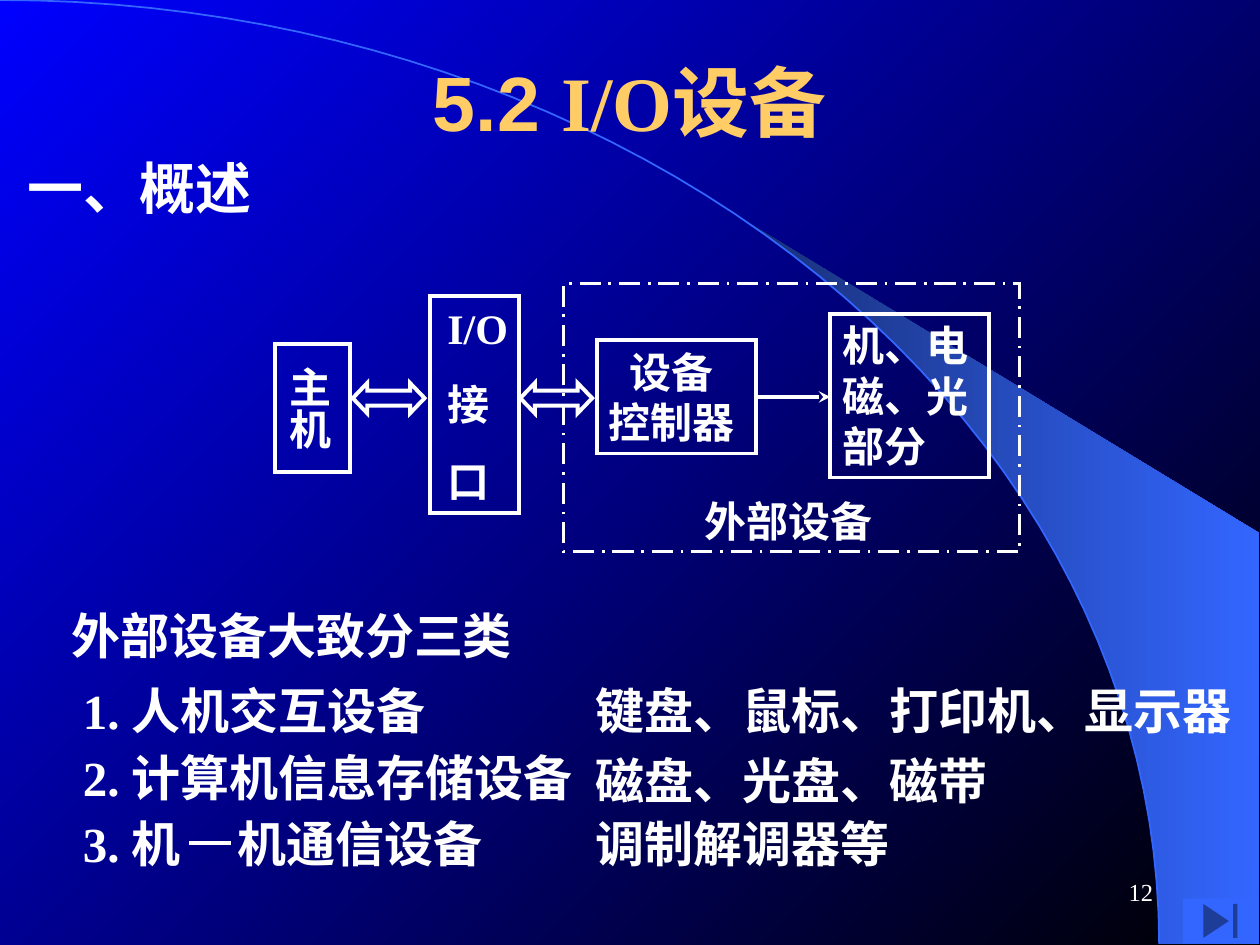
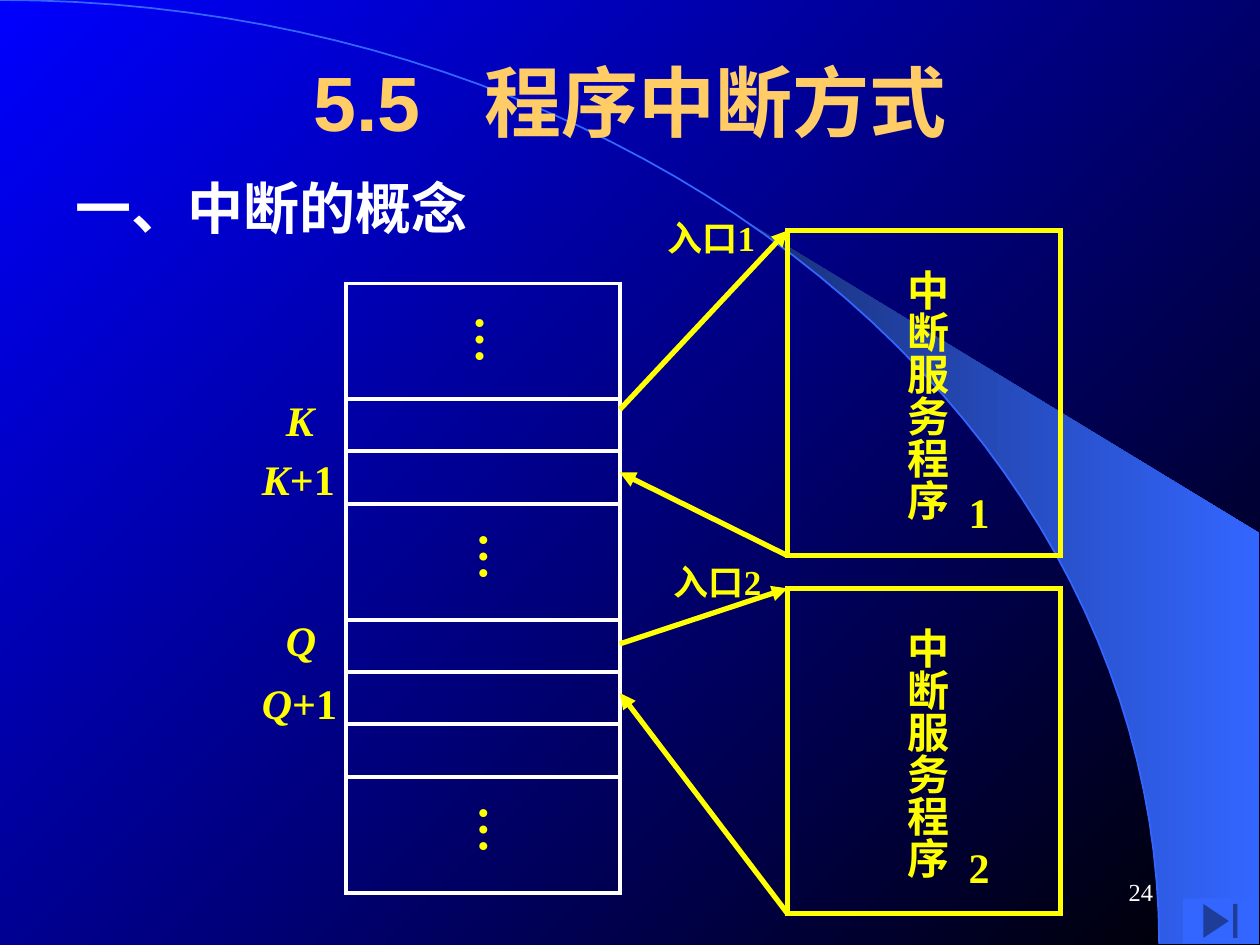
"""Build two lecture slides on I/O devices and program interrupts."""
import math
from dataclasses import dataclass
from itertools import accumulate
from typing import NamedTuple

from lxml import etree
from pptx import Presentation
from pptx.dml.color import RGBColor
from pptx.enum import dml, shapes, text
from pptx.oxml.ns import qn
from pptx import util as u

PX = u.Inches(1) // 100
SERIF, SANS = "Times New Roman", "Arial"
COLOURS = {
    "white": "FFFFFF",
    "gold": "FFCC66",
    "yellow": "FFFF00",
    "blue": "0000FF",
    "black": "000000",
    "navy": "182F76",
    "azure": "3366FF",
}
SHAPE = shapes.MSO_SHAPE
ALIGN = text.PP_ALIGN
PLAIN_INSETS = (10, 5, 10, 5)
VERTICAL_INSETS = (5, 10, 5, 10)


class Place(NamedTuple):
    """Left, top, width and height in px."""
    left: int
    top: int
    width: int
    height: int

    def emu(self) -> list[int]:
        """Return the four lengths in EMU."""
        return [length * PX for length in self]


class Run(NamedTuple):
    """A stretch of text that may differ from its paragraph."""
    words: str
    font: str | None = None
    italic: bool = False
    spacing: int = 0


@dataclass(frozen=True)
class Block:
    """A framed part of the computer diagram."""
    place: Place
    lines: tuple[str, ...]
    insets: tuple[int, int, int, int] = PLAIN_INSETS
    before: int = 0
    align: ALIGN = ALIGN.LEFT
    vertical: bool = False


@dataclass(frozen=True)
class DeviceClass:
    """One class of external devices with its examples."""
    top: int
    kind: list[Run]
    width: int
    examples: str
    examples_place: Place


@dataclass(frozen=True)
class Routine:
    """An interrupt service routine and its links to the program."""
    number: int
    top: int
    leaves: int
    resumes: int
    entry: Place
    number_top: int


BLOCKS = (
    Block(Place(218, 273, 60, 102), ("主机",), (5, 18, 13, 10), 15, vertical=True),
    Block(Place(474, 270, 126, 90), ("设备", "控制器"), (5, 5, 13, 5), align=ALIGN.CENTER),
    Block(Place(659, 249, 126, 130), ("机、电", "磁、光", "部分")),
    Block(Place(341, 235, 71, 172), ("I/O", "接", "口"), (14, 5, 6, 5), 15),
)
DEVICE_CLASSES = (
    DeviceClass(535, [Run("1. 人机交互设备")], 333,
                "键盘、鼠标、打印机、显示器", Place(463, 535, 550, 57)),
    DeviceClass(588, [Run("2. 计算机信息存储设备")], 458,
                "磁盘、光盘、磁带", Place(463, 591, 425, 57)),
    DeviceClass(641, [Run("3. 机"), Run(" ", spacing=26), Run("机通信设备")], 424,
                "调制解调器等", Place(463, 641, 467, 57)),
)
ROUTINES = (
    Routine(1, 183, 325, 375, Place(520, 167, 96, 44), 381),
    Routine(2, 467, 511, 550, Place(525, 440, 117, 44), 663),
)
MEMORY_ROWS = (92, 41, 42, 92, 41, 42, 42, 92)
MEMORY_LEFT, MEMORY_TOP, MEMORY_WIDTH = 275, 225, 217
ROUTINE_LEFT, ROUTINE_WIDTH, ROUTINE_HEIGHT = 625, 217, 258
ADDRESSES = (
    (Place(217, 308, 46, 50), [Run("K", italic=True)]),
    (Place(198, 355, 84, 50), [Run("K", italic=True), Run("+1")]),
    (Place(217, 483, 48, 50), [Run("Q", italic=True)]),
    (Place(198, 533, 84, 50), [Run("Q", italic=True), Run("+1")]),
)
ELLIPSES = ((356, 240), (359, 413), (359, 629))


def colour(name: str) -> RGBColor:
    """Look up a colour by name."""
    return RGBColor.from_string(COLOURS[name])


def write(frame, *paragraphs: str | list[Run], size: int = 24, ink: str = "white",
          font: str = SERIF, bold: bool = True, align: ALIGN = ALIGN.LEFT,
          before: int = 0, insets: tuple = PLAIN_INSETS, middle: bool = False,
          vertical: bool = False, wrap: bool = True, grow: bool = True) -> None:
    """Fill a text frame with formatted paragraphs."""
    frame.word_wrap = wrap
    frame.auto_size = (text.MSO_AUTO_SIZE.SHAPE_TO_FIT_TEXT if grow
                       else text.MSO_AUTO_SIZE.NONE)
    frame.vertical_anchor = text.MSO_ANCHOR.MIDDLE if middle else text.MSO_ANCHOR.TOP
    (frame.margin_left, frame.margin_top,
     frame.margin_right, frame.margin_bottom) = [inset * PX for inset in insets]
    if vertical:
        frame._txBody.bodyPr.set("vert", "eaVert")
    for index, content in enumerate(paragraphs):
        paragraph = frame.add_paragraph() if index else frame.paragraphs[0]
        paragraph.alignment = align
        paragraph.space_before = u.Pt(before)
        for part in [Run(content)] if isinstance(content, str) else content:
            run = paragraph.add_run()
            run.text = part.words
            run.font.name = part.font or font
            run.font.size = u.Pt(size)
            run.font.bold = bold
            run.font.italic = part.italic
            run.font.color.rgb = colour(ink)
            if part.spacing:
                run._r.get_or_add_rPr().set("spc", str(part.spacing * 100))


def label(slide, place: Place, *paragraphs: str | list[Run], **style) -> None:
    """Add a text box."""
    write(slide.shapes.add_textbox(*place.emu()).text_frame, *paragraphs, **style)


def stroke(line, ink: str, weight: float) -> None:
    """Set the colour and width of a line with sharp corners."""
    line.color.rgb = colour(ink)
    line.width = u.Pt(weight)
    etree.SubElement(line._get_or_add_ln(), qn("a:miter"), lim="800000")


def outline(slide, kind: SHAPE, place: Place, ink: str = "white", weight: float = 2.25):
    """Add an unfilled preset shape."""
    figure = slide.shapes.add_shape(kind, *place.emu())
    figure.shadow.inherit = False
    figure.fill.background()
    stroke(figure.line, ink, weight)
    return figure


def connect(slide, start: tuple[int, int], end: tuple[int, int], ink: str = "white",
            weight: float = 2.25, head: str = "") -> None:
    """Draw a straight line, with an arrowhead at its end if one is named."""
    link = slide.shapes.add_connector(
        shapes.MSO_CONNECTOR.STRAIGHT, *[length * PX for length in start + end])
    stroke(link.line, ink, weight)
    if head:
        etree.SubElement(link.line._get_or_add_ln(), qn("a:tailEnd"), type=head)
    etree.SubElement(link._element.spPr, qn("a:effectLst"))


def blend(fill, first: str, last: str, angle: int) -> None:
    """Set a two-colour linear gradient."""
    fill.gradient()
    fill.gradient_angle = angle
    for stop, name in zip(fill.gradient_stops, (first, last)):
        stop.color.rgb = colour(name)


def arc(start: float, steps: int = 48) -> list[tuple[int, int]]:
    """List points of the horizon from a start angle to the right end."""
    angles = [math.radians(start + (90 - start) * step / steps) for step in range(steps + 1)]
    return [(round(920 * PX * math.sin(a)), round(749 * PX * (1 - math.cos(a))))
            for a in angles]


def freeform(slide, points: list[tuple[int, int]], close: bool):
    """Add an outline through points given in EMU."""
    builder = slide.shapes.build_freeform(*points[0])
    builder.add_line_segments(points[1:], close=close)
    figure = builder.convert_to_shape()
    figure.shadow.inherit = False
    return figure


def start_slide(deck, title: list[Run], number: int):
    """Add a slide with the shared background, title, page number and button."""
    slide = deck.slides.add_slide(deck.slide_layouts[6])
    blend(slide.background.fill, "blue", "black", 315)
    beam = freeform(slide, arc(39.8) + [(999 * PX, 749 * PX), (999 * PX, 423 * PX)], True)
    blend(beam.fill, "navy", "azure", 0)
    beam.line.fill.background()
    horizon = freeform(slide, arc(0), False)
    horizon.fill.background()
    stroke(horizon.line, "azure", 1)
    label(slide, Place(75, 17, 850, 125), title, size=44, ink="gold", font=SANS,
          align=ALIGN.CENTER, middle=True, grow=False)
    label(slide, Place(717, 683, 208, 50), str(number), size=14, bold=False,
          align=ALIGN.RIGHT, middle=True, grow=False)
    button = slide.shapes.add_shape(SHAPE.ACTION_BUTTON_END, *Place(939, 713, 59, 36).emu())
    button.shadow.inherit = False
    button.fill.solid()
    button.fill.fore_color.rgb = colour("azure")
    button.line.fill.background()
    return slide


def build_devices(deck) -> None:
    """Build the overview of I/O devices."""
    slide = start_slide(deck, [Run("5.2 "), Run("I/O", SERIF), Run("设备")], 12)
    label(slide, Place(12, 117, 258, 64), "一、概述", size=32)
    for block in BLOCKS:
        write(outline(slide, SHAPE.RECTANGLE, block.place).text_frame, *block.lines,
              insets=block.insets, before=block.before, align=block.align,
              vertical=block.vertical)
    external = outline(slide, SHAPE.RECTANGLE, Place(447, 225, 362, 213), weight=1.5)
    external.line.dash_style = dml.MSO_LINE.LONG_DASH_DOT
    label(slide, Place(549, 388, 228, 50), "外部设备", before=15)
    connect(slide, (600, 315), (659, 315), head="stealth")
    for left in (413, 280):
        bus = outline(slide, SHAPE.LEFT_RIGHT_ARROW, Place(left, 304, 57, 24))
        bus.adjustments[0], bus.adjustments[1] = 0.5, 0.48
    label(slide, Place(47, 476, 483, 57), "外部设备大致分三类", size=28)
    for device in DEVICE_CLASSES:
        label(slide, Place(56, device.top, device.width, 57), device.kind, size=28)
        label(slide, device.examples_place, device.examples, size=28)
    connect(slide, (150, 669), (183, 669))


def draw_routine(slide, routine: Routine) -> None:
    """Draw a service routine with its entry and return arrows."""
    memory_right = MEMORY_LEFT + MEMORY_WIDTH
    bottom = routine.top + ROUTINE_HEIGHT
    outline(slide, SHAPE.RECTANGLE,
            Place(ROUTINE_LEFT, routine.top, ROUTINE_WIDTH, ROUTINE_HEIGHT), "yellow", 3)
    label(slide, Place(701, routine.top + 21, 60, 210), "中断服务程序", ink="yellow",
          insets=VERTICAL_INSETS, vertical=True, wrap=False)
    label(slide, Place(759, routine.number_top, 36, 50), str(routine.number),
          ink="yellow", wrap=False)
    for start, end in (((memory_right, routine.leaves), (ROUTINE_LEFT, routine.top)),
                       ((ROUTINE_LEFT, bottom), (memory_right, routine.resumes))):
        connect(slide, start, end, "yellow", 3, "triangle")
    label(slide, routine.entry, f"入口{routine.number}", size=20, ink="yellow", wrap=False)


def build_interrupts(deck) -> None:
    """Build the concept of program interrupts."""
    slide = start_slide(deck, [Run("5.5"), Run(" ", spacing=24), Run("程序中断方式")], 24)
    label(slide, Place(50, 133, 403, 64), "一、中断的概念", size=32)
    for top, height in zip(accumulate(MEMORY_ROWS, initial=MEMORY_TOP), MEMORY_ROWS):
        outline(slide, SHAPE.RECTANGLE, Place(MEMORY_LEFT, top, MEMORY_WIDTH, height))
    for left, top in ELLIPSES:
        label(slide, Place(left, top, 66, 49), "…", size=28, ink="yellow",
              insets=VERTICAL_INSETS, vertical=True, wrap=False)
    for place, address in ADDRESSES:
        label(slide, place, address, ink="yellow", wrap=False)
    for routine in ROUTINES:
        draw_routine(slide, routine)


def main() -> None:
    """Build and save the presentation."""
    deck = Presentation()
    deck.slide_width, deck.slide_height = 1000 * PX, 750 * PX
    build_devices(deck)
    build_interrupts(deck)
    deck.save("out.pptx")


if __name__ == "__main__":
    main()
